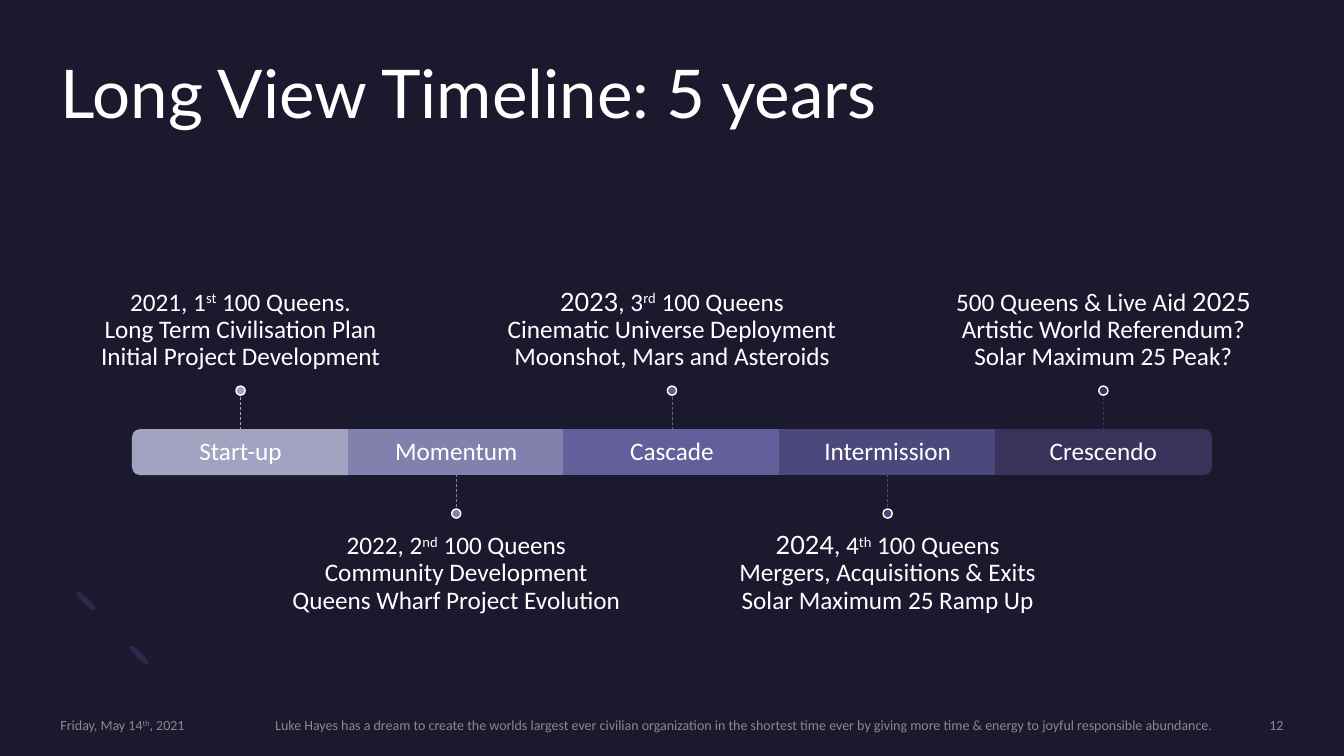
from dataclasses import dataclass

from lxml.etree import SubElement as Sub
from pptx import Presentation
from pptx.dml.color import RGBColor as RGB
from pptx.enum.dml import MSO_LINE as Dash
from pptx.enum.shapes import MSO_CONNECTOR as Wire, MSO_SHAPE as Kind
from pptx.enum.text import MSO_ANCHOR as Anchor, MSO_AUTO_SIZE as Fit, PP_ALIGN as Align
from pptx.oxml.ns import qn
from pptx.util import Inches, Pt


@dataclass(frozen=True)
class Theme:
    """Colours, fonts and type sizes of the slide."""
    back: str = "1B192E"
    ink: str = "FFFFFF"
    mute: str = "A6A6A6"
    leaf: str = "2C284A"
    arc: str = "7771B2"
    bars: tuple = ("A3A3C1", "8281AE", "625F9A", "4C487B", "37335B")
    head: str = "Lato"
    body: str = "Calibri"
    big: int = 48
    mid: int = 18
    small: int = 10


class Deck:
    """Draws on one slide, with lengths in hundredths of its size."""

    def __init__(self, theme):
        """Open a title-only slide with a plain background."""
        self.theme = theme
        self.prs = Presentation()
        self.prs.slide_width, self.prs.slide_height = Inches(13.33), Inches(7.5)
        self.slide = self.prs.slides.add_slide(self.prs.slide_layouts[5])
        self.shapes = self.slide.shapes
        self.paint(self.slide.background.fill, theme.back)

    def spot(self, x, y):
        """Turn shares of the slide into lengths."""
        return round(self.prs.slide_width * x / 100), round(self.prs.slide_height * y / 100)

    def paint(self, fill, hue):
        """Fill with one colour."""
        fill.solid()
        fill.fore_color.rgb = RGB.from_string(hue)

    def fade(self, node, share):
        """Set the opacity of the colours below a node, in percent."""
        for tint in node.iter(qn("a:srgbClr")):
            Sub(tint, qn("a:alpha"), val=str(share * 1000))

    def label(self, shape, lines, size, hue, font=None, align=Align.LEFT,
              anchor=Anchor.TOP, pads=(0, 0, 0, 0), fade=None):
        """Set text; | splits runs, ^ raises a run, * gives it the head font."""
        frame, theme = shape.text_frame, self.theme
        sides = ("margin_left", "margin_top", "margin_right", "margin_bottom")
        look = dict(zip(sides, map(Inches, pads)), word_wrap=True,
                    auto_size=Fit.NONE, vertical_anchor=anchor)
        for key, val in look.items():
            setattr(frame, key, val)
        para = frame.paragraphs[0]
        para.alignment, para.line_spacing = align, 0.9
        for row, line in enumerate(lines):
            if row:
                para.add_line_break()
            for part in line.split("|"):
                run = para.add_run()
                run.text = part.lstrip("^*")
                face = theme.head if part[0] == "*" else font or theme.body
                for key, val in {"name": face, "size": Pt(size)}.items():
                    setattr(run.font, key, val)
                run.font.color.rgb = RGB.from_string(hue)
                props = run._r.get_or_add_rPr()
                if part[0] == "^":
                    props.set("baseline", "30000")
                if fade:
                    self.fade(props, fade)

    def title(self, text, x, y, w, h):
        """Place and fill the title."""
        box = self.shapes.title
        box.left, box.top = self.spot(x, y)
        box.width, box.height = self.spot(w, h)
        self.label(box, [text], self.theme.big, self.theme.ink, self.theme.head)

    def text(self, lines, x, y, w, h, size, hue, **look):
        """Add a text box."""
        box = self.shapes.add_textbox(*self.spot(x, y), *self.spot(w, h))
        self.label(box, lines, size, hue, **look)

    def shape(self, kind, x, y, w, h, hue, edge=None, turn=0):
        """Add a preset shape; x, y, w, h frame it after a quarter turn."""
        (left, top), (wide, high) = self.spot(x, y), self.spot(w, h)
        if turn % 180 == 90:
            left, top = left + (wide - high) // 2, top + (high - wide) // 2
            wide, high = high, wide
        item = self.shapes.add_shape(kind, left, top, wide, high)
        item.rotation = turn
        self.skin(item, hue, edge)
        return item

    def skin(self, item, hue, edge=None):
        """Set fill and edge, without a shadow."""
        item.shadow.inherit = False
        self.paint(item.fill, hue)
        if edge:
            self.paint(item.line.fill, edge)
            item.line.width = Pt(1)
        else:
            item.line.fill.background()

    def stem(self, x, top, end, hue):
        """Add a dashed upright line."""
        line = self.shapes.add_connector(Wire.STRAIGHT, *self.spot(x, top), *self.spot(x, end))
        self.paint(line.line.fill, hue)
        line.line.width, line.line.dash_style = Pt(0.5), Dash.DASH
        Sub(line._element.spPr, qn("a:effectLst"))

    def curve(self, bends, hue, fade):
        """Add an outline made of cubic bends."""
        dots = []
        for bend in bends:
            for step in range(13):
                t = step / 12
                mix = ((1 - t) ** 3, 3 * t * (1 - t) ** 2, 3 * t * t * (1 - t), t ** 3)
                dots.append(self.spot(*(sum(m * p[axis] for m, p in zip(mix, bend))
                                        for axis in (0, 1))))
        form = self.shapes.build_freeform(*dots[0])
        form.add_line_segments(dots[1:])
        item = form.convert_to_shape()
        self.skin(item, hue)
        self.fade(item._element.spPr, fade)


COL, MID, HALF, DOT, GAP = 16.05, 59.8, 2.95, 8.13, 8.7
DOT_W, DOT_H = 0.68, 1.2
NOTE_W, NOTE_H = 26.8, 20.3
LEAVES = [(10.13, 84.93), (6.15, 77.73)]
ARC = [
    [(5.7, 87.87), (4.2, 85.2), (4.35, 80.67), (6.08, 77.6)],
    [(7.43, 80), (6.53, 81.47), (6.45, 83.87), (7.2, 85.07)],
    [(7.2, 85.07), (7.95, 86.4), (9.23, 86.27), (10.13, 84.8)],
    [(11.4, 87.2), (9.75, 90.13), (7.13, 90.53), (5.7, 87.87)],
]
YEARS = [
    ("Start-up", ["2021, 1|^st| 100 Queens.", "Long Term Civilisation Plan",
                  "Initial Project Development"]),
    ("Momentum", ["2022, 2|^nd| 100 Queens", "Community Development",
                  "Queens Wharf Project Evolution"]),
    ("Cascade", ["*2023|, 3|^rd| 100 Queens", "Cinematic Universe Deployment",
                 "Moonshot, Mars and Asteroids"]),
    ("Intermission", ["*2024|, 4|^th| 100 Queens", "Mergers, Acquisitions & Exits",
                      "Solar Maximum 25 Ramp Up"]),
    ("Crescendo", ["500 Queens & Live Aid |*2025", "Artistic World Referendum?",
                   "Solar Maximum 25 Peak?"]),
]
FOOT = [
    ("Luke Hayes has a dream to create the worlds largest ever civilian organization in the "
     "shortest time ever by giving more time & energy to joyful responsible abundance.",
     20.48, 70.6, Align.LEFT),
    ("Friday, May 14|^th|, 2021", 4.5, 15, Align.LEFT),
    ("12", 81.6, 13.9, Align.RIGHT),
]


def main():
    """Build the timeline slide."""
    theme = Theme()
    deck = Deck(theme)
    for x, y in LEAVES:
        deck.shape(Kind.OVAL, x, y, 0.45, 3.47, theme.leaf, turn=135)
    deck.curve(ARC, theme.arc, 2)
    deck.title("Long View Timeline: 5 years", 4.5, 8, 91, 19.47)

    ends = {0: 270, len(YEARS) - 1: 90}
    for n, ((name, note), hue) in enumerate(zip(YEARS, theme.bars)):
        x = 50 + COL * (n - 2)
        bar = (x - COL / 2, MID - HALF, COL, 2 * HALF)
        look = {"align": Align.CENTER, "anchor": Anchor.MIDDLE}
        kind = Kind.ROUND_2_SAME_RECTANGLE if n in ends else Kind.RECTANGLE
        item = deck.shape(kind, *bar, hue, hue, ends.get(n, 0))
        if n in ends:
            deck.text([name], *bar, theme.mid, theme.ink, **look)
        else:
            deck.label(item, [name], theme.mid, theme.ink, **look)

        side = 1 if n % 2 else -1
        top = MID + GAP if side > 0 else MID - GAP - NOTE_H
        look = {"align": Align.CENTER, "anchor": Anchor.TOP if side > 0 else Anchor.BOTTOM,
                "pads": (0, 0.15, 0, 0) if side > 0 else (0, 0, 0, 0.15)}
        deck.text(note, x - NOTE_W / 2, top, NOTE_W, NOTE_H, theme.mid, theme.ink, **look)
        deck.stem(x, MID + side * HALF, MID + side * (DOT - DOT_H / 2), hue)
        deck.shape(Kind.OVAL, x - DOT_W / 2, MID + side * DOT - DOT_H / 2,
                   DOT_W, DOT_H, hue, theme.ink)

    for line, x, w, align in FOOT:
        deck.text([line], x, 94.93, w, 2.27, theme.small, theme.mute,
                  align=align, anchor=Anchor.MIDDLE, fade=80)
    deck.prs.save("out.pptx")


if __name__ == "__main__":
    main()
